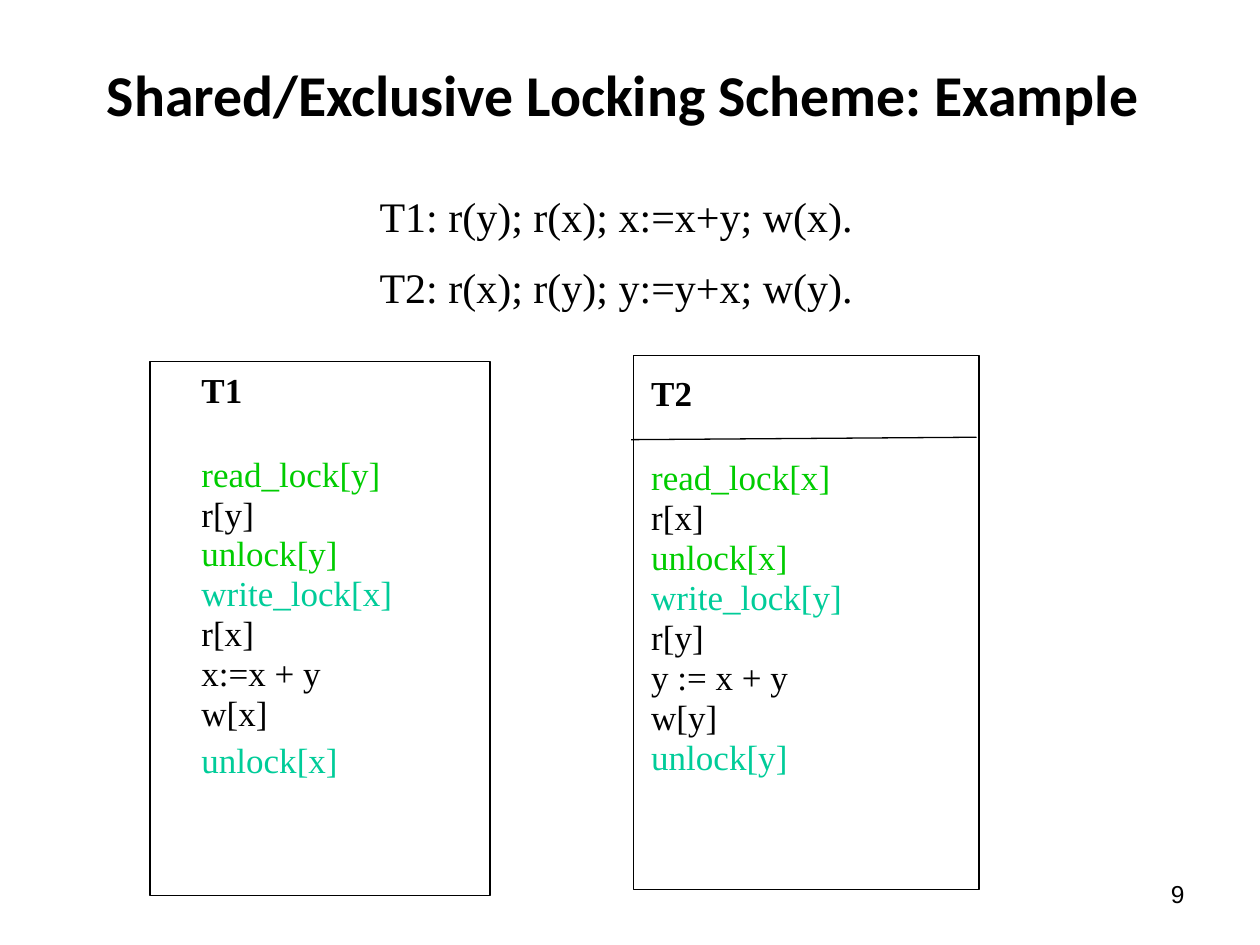
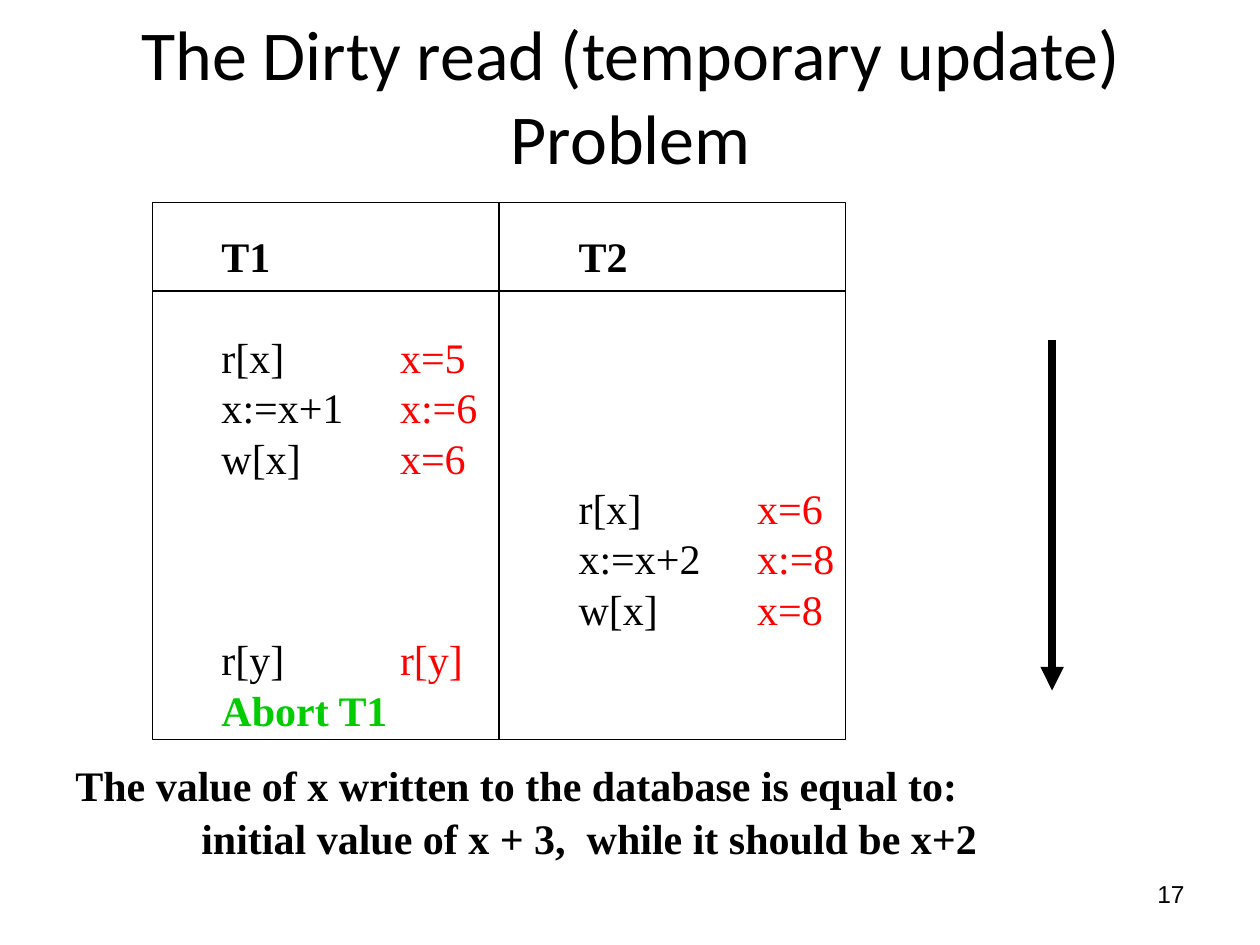
from dataclasses import dataclass, field
from typing import Any

from lxml import etree
from pptx import Presentation
from pptx import util as u
from pptx.dml import color as clr
from pptx.enum import shapes as es
from pptx.enum import text as et
from pptx.oxml import ns

COLORS = {
    "black": "000000",
    "green": "00CC00",
    "teal": "00CC99",
    "red": "FF0000",
}
SERIF, SANS, PLAIN = "Times New Roman", "Calibri", "Arial"
LEADING = 1.2
LEFT, CENTER, RIGHT = et.PP_ALIGN.LEFT, et.PP_ALIGN.CENTER, et.PP_ALIGN.RIGHT
TOP, MIDDLE = et.MSO_ANCHOR.TOP, et.MSO_ANCHOR.MIDDLE

prs = Presentation()
prs.slide_width, prs.slide_height = u.Inches(10), u.Inches(7.5)


def across(pct: float) -> int:
    return round(prs.slide_width * pct / 100)


def down(pct: float) -> int:
    return round(prs.slide_height * pct / 100)


def rgb(name: str) -> clr.RGBColor:
    return clr.RGBColor.from_string(COLORS[name])


@dataclass
class Box:
    left: float
    top: float
    width: float
    height: float

    def emu(self) -> tuple[int, int, int, int]:
        return across(self.left), down(self.top), across(self.width), down(self.height)


@dataclass
class Line:
    runs: list[tuple[str, str]]
    bold: bool = False
    before: float = 0
    indent: float = 0


@dataclass
class Style:
    size: float
    name: str = SERIF
    leading: float | None = None
    align: Any = LEFT
    anchor: Any = TOP
    tabs: list[float] = field(default_factory=list)


@dataclass
class Schedule:
    text: Box
    frame: Box
    lines: list[Line]


def line(text: str, color: str = "black", **fmt: Any) -> Line:
    return Line([(text, color)], **fmt)


def add_tabs(p: Any, stops: list[float]) -> None:
    tabs = etree.SubElement(p._p.get_or_add_pPr(), ns.qn("a:tabLst"))
    for stop in stops:
        etree.SubElement(tabs, ns.qn("a:tab"), pos=str(across(stop)), algn="l")


def add_text(s: Any, box: Box, lines: list[Line], style: Style) -> None:
    tf = s.shapes.add_textbox(*box.emu()).text_frame
    tf.word_wrap, tf.vertical_anchor = True, style.anchor
    for i, item in enumerate(lines):
        p = tf.add_paragraph() if i else tf.paragraphs[0]
        layout = {"alignment": style.align, "space_before": u.Pt(item.before)}
        if style.leading:
            layout["line_spacing"] = u.Pt(style.leading)
        for key, value in layout.items():
            setattr(p, key, value)
        if item.indent:
            p._p.get_or_add_pPr().set("marL", str(across(item.indent)))
        if style.tabs:
            add_tabs(p, style.tabs)
        for content, color in item.runs:
            r = p.add_run()
            r.text = content
            font = {"name": style.name, "size": u.Pt(style.size), "bold": item.bold}
            for key, value in font.items():
                setattr(r.font, key, value)
            r.font.color.rgb = rgb(color)


def add_frame(s: Any, box: Box) -> None:
    sp = s.shapes.add_shape(es.MSO_SHAPE.RECTANGLE, *box.emu())
    sp.shadow.inherit = False
    sp.fill.background()
    sp.line.color.rgb, sp.line.width = rgb("black"), u.Pt(0.75)


def add_line(s: Any, x1: float, y1: float, x2: float, y2: float,
             width: float = 0.75, arrow: bool = False) -> None:
    c = s.shapes.add_connector(es.MSO_CONNECTOR.STRAIGHT,
                               across(x1), down(y1), across(x2), down(y2))
    c.line.color.rgb, c.line.width = rgb("black"), u.Pt(width)
    if arrow:
        etree.SubElement(c.line._get_or_add_ln(), ns.qn("a:tailEnd"), type="triangle")
    etree.SubElement(c._element.spPr, ns.qn("a:effectLst"))


def add_slide(number: int, title: Line, box: Box, style: Style) -> Any:
    s = prs.slides.add_slide(prs.slide_layouts[6])
    add_text(s, Box(71.7, 91.07, 23.3, 6.93), [line(str(number))],
             Style(14, PLAIN, align=RIGHT, anchor=MIDDLE))
    add_text(s, box, [title], style)
    return s


def locked_steps(name: str, first: str, second: str, update: str,
                 last_gap: float = 0) -> list[Line]:
    return [
        line(name, bold=True),
        line(f"read_lock[{first}]", "green", before=25.2),
        line(f"r[{first}]"),
        line(f"unlock[{first}]", "green"),
        line(f"write_lock[{second}]", "teal"),
        line(f"r[{second}]"),
        line(update),
        line(f"w[{second}]"),
        line(f"unlock[{second}]", "teal", before=last_gap),
    ]


def step(code: str, value: str, skip: str = "") -> Line:
    return Line([(f"{skip}{code}\t", "black"), (value, "red")])


def locking_slide() -> None:
    s = add_slide(9, line("Shared/Exclusive Locking Scheme: Example", bold=True),
                  Box(7.5, 5.6, 85, 18.93), Style(33, SANS))
    add_text(s, Box(4.8, 19.47, 88.2, 22.67),
             [line("T1: r(y); r(x); x:=x+y; w(x)."),
              line("T2: r(x); r(y); y:=y+x; w(y).", before=12)],
             Style(24, leading=24 * LEADING, align=CENTER))
    schedules = [
        Schedule(Box(15, 38.53, 23.9, 50), Box(11.9, 38.27, 27, 56.53),
                 locked_steps("T1", "y", "x", "x:=x + y", last_gap=4)),
        Schedule(Box(50.7, 38.93, 27, 50), Box(50.3, 37.6, 27.4, 56.53),
                 locked_steps("T2", "x", "y", "y := x + y")),
    ]
    for item in schedules:
        add_text(s, item.text, item.lines, Style(20, leading=20 * LEADING * 0.95))
        add_frame(s, item.frame)
    add_line(s, 50.1, 46.53, 77.5, 46.27)


def dirty_read_slide() -> None:
    s = add_slide(17, line("The Dirty read (temporary update) Problem"),
                  Box(5, 3.33, 90.1, 13.33),
                  Style(40, SANS, align=CENTER, anchor=MIDDLE))
    leading, column, to_t2 = 24 * LEADING, 14.17, "\t\t"
    frame = Box(12.1, 21.47, 55, 56.8)
    bottom, right = frame.top + frame.height, frame.left + frame.width
    middle, header = frame.left + frame.width / 2, 30.8
    rows = [
        line(f"T1{to_t2}T2", bold=True),
        step("r[x]", "x=5"),
        step("x:=x+1", "x:=6"),
        step("w[x]", "x=6"),
        step("r[x]", "x=6", to_t2),
        step("x:=x+2", "x:=8", to_t2),
        step("w[x]", "x=8", to_t2),
        step("r[y]", "r[y]"),
        line("Abort T1", "green", bold=True),
    ]
    rows[1].before = leading
    add_text(s, Box(16.6, 23.73, 53, 54.53), rows,
             Style(24, leading=leading, tabs=[column * n for n in (1, 2, 3)]))
    add_frame(s, frame)
    add_line(s, middle, frame.top, middle, bottom)
    add_line(s, frame.left, header, right, header)
    add_line(s, 83.5, 36, 83.5, 73.07, width=4.5, arrow=True)
    add_text(s, Box(5, 80.4, 92, 11.73),
             [line("The value of x written to the database is equal to:", bold=True),
              line("initial value of x + 3,  while it should be x+2",
                   bold=True, before=6, indent=10)],
             Style(24, leading=leading * 0.85, anchor=MIDDLE))


locking_slide()
dirty_read_slide()
prs.save("out.pptx")
